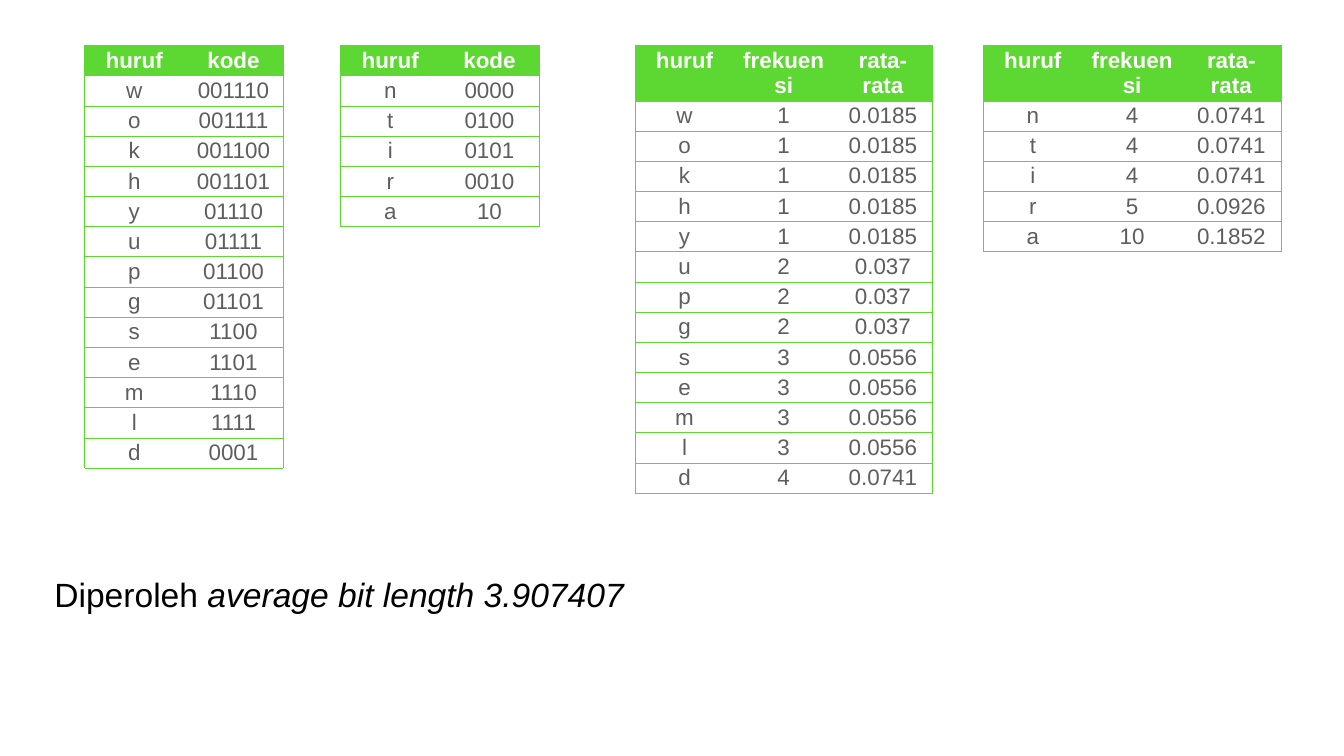
from lxml.etree import SubElement
from pptx import Presentation
from pptx.dml.color import RGBColor
from pptx.enum.text import MSO_ANCHOR as Anchor, MSO_AUTO_SIZE as AutoSize, PP_ALIGN as Align
from pptx.oxml.ns import qn
from pptx.util import Cm, Pt

GREEN = RGBColor(0x5D, 0xD7, 0x31)
GREY = RGBColor(0x5E, 0x5E, 0x5E)
WHITE = RGBColor(0xFF, 0xFF, 0xFF)
BLACK = RGBColor(0, 0, 0)
FONT = "Arial"

LETTERS = [
    ("w", "001110", "1", "0.0185"),
    ("o", "001111", "1", "0.0185"),
    ("k", "001100", "1", "0.0185"),
    ("h", "001101", "1", "0.0185"),
    ("y", "01110", "1", "0.0185"),
    ("u", "01111", "2", "0.037"),
    ("p", "01100", "2", "0.037"),
    ("g", "01101", "2", "0.037"),
    ("s", "1100", "3", "0.0556"),
    ("e", "1101", "3", "0.0556"),
    ("m", "1110", "3", "0.0556"),
    ("l", "1111", "3", "0.0556"),
    ("d", "0001", "4", "0.0741"),
    ("n", "0000", "4", "0.0741"),
    ("t", "0100", "4", "0.0741"),
    ("i", "0101", "4", "0.0741"),
    ("r", "0010", "5", "0.0926"),
    ("a", "10", "10", "0.1852"),
]
FIRST_PART, SECOND_PART = LETTERS[:13], LETTERS[13:]
CODES = [("huruf", 0), ("kode", 1)]
FREQUENCIES = [("huruf", 0), ("frekuensi", 2), ("rata-rata", 3)]
TABLES = [
    (4.27, CODES, FIRST_PART, 0),
    (17.17, CODES, SECOND_PART, 0),
    (49.56, FREQUENCIES, SECOND_PART, 1.35),
    (32, FREQUENCIES, FIRST_PART, 1.35),
]
RESULT = [("Diperoleh ", False), ("average bit length 3.907407", True)]

TABLE_TOP, COLUMN_WIDTH, ROW_HEIGHT, FRAME_ROW = 2.29, 5, 1.04, 1.61


def format_run(run, size, color, bold=False, italic=False):
    run.font.name = FONT
    run.font.size = Pt(size)
    run.font.color.rgb = color
    run.font.bold = bold
    run.font.italic = italic


def set_borders(cell, sides):
    properties = cell._tc.get_or_add_tcPr()
    for side in "LRTB":
        line = SubElement(properties, qn(f"a:ln{side}"), w=str(Pt(0.75)))
        if side in sides:
            fill = SubElement(line, qn("a:solidFill"))
            SubElement(fill, qn("a:srgbClr"), val=str(GREEN))
        else:
            SubElement(line, qn("a:noFill"))


def add_letter_table(slide, left, columns, letters, header_extra):
    rows = [[title for title, _ in columns]]
    rows += [[letter[field] for _, field in columns] for letter in letters]
    height = Cm(FRAME_ROW * len(rows) + header_extra)
    frame = slide.shapes.add_table(len(rows), len(columns), Cm(left), Cm(TABLE_TOP),
                                   Cm(COLUMN_WIDTH * len(columns)), height)
    table = frame.table
    table.horz_banding = False
    for column in table.columns:
        column.width = Cm(COLUMN_WIDTH)
    for r, values in enumerate(rows):
        table.rows[r].height = Cm(ROW_HEIGHT)
        header = r == 0
        for c, value in enumerate(values):
            cell = table.cell(r, c)
            left_side = "L" if c == 0 else ""
            right_side = "R" if c == len(columns) - 1 else ""
            set_borders(cell, "TB" + left_side + right_side)
            if header:
                cell.fill.solid()
                cell.fill.fore_color.rgb = GREEN
            else:
                cell.fill.background()
            paragraph = cell.text_frame.paragraphs[0]
            paragraph.alignment = Align.CENTER
            run = paragraph.add_run()
            run.text = value
            format_run(run, 32, WHITE if header else GREY, bold=header)
    frame.height = height


def add_result(slide):
    box = slide.shapes.add_textbox(Cm(2.59), Cm(28.78), Cm(29.34), Cm(2.34))
    text = box.text_frame
    text.word_wrap = False
    text.auto_size = AutoSize.SHAPE_TO_FIT_TEXT
    text.vertical_anchor = Anchor.MIDDLE
    text.margin_left = text.margin_right = text.margin_top = text.margin_bottom = Cm(0.15)
    for words, italic in RESULT:
        run = text.paragraphs[0].add_run()
        run.text = words
        format_run(run, 48, BLACK, italic=italic)


def main():
    deck = Presentation()
    deck.slide_width, deck.slide_height = Cm(67.74), Cm(38.1)
    slide = deck.slides.add_slide(deck.slide_layouts[6])
    for table in TABLES:
        add_letter_table(slide, *table)
    add_result(slide)
    deck.save("out.pptx")


if __name__ == "__main__":
    main()
